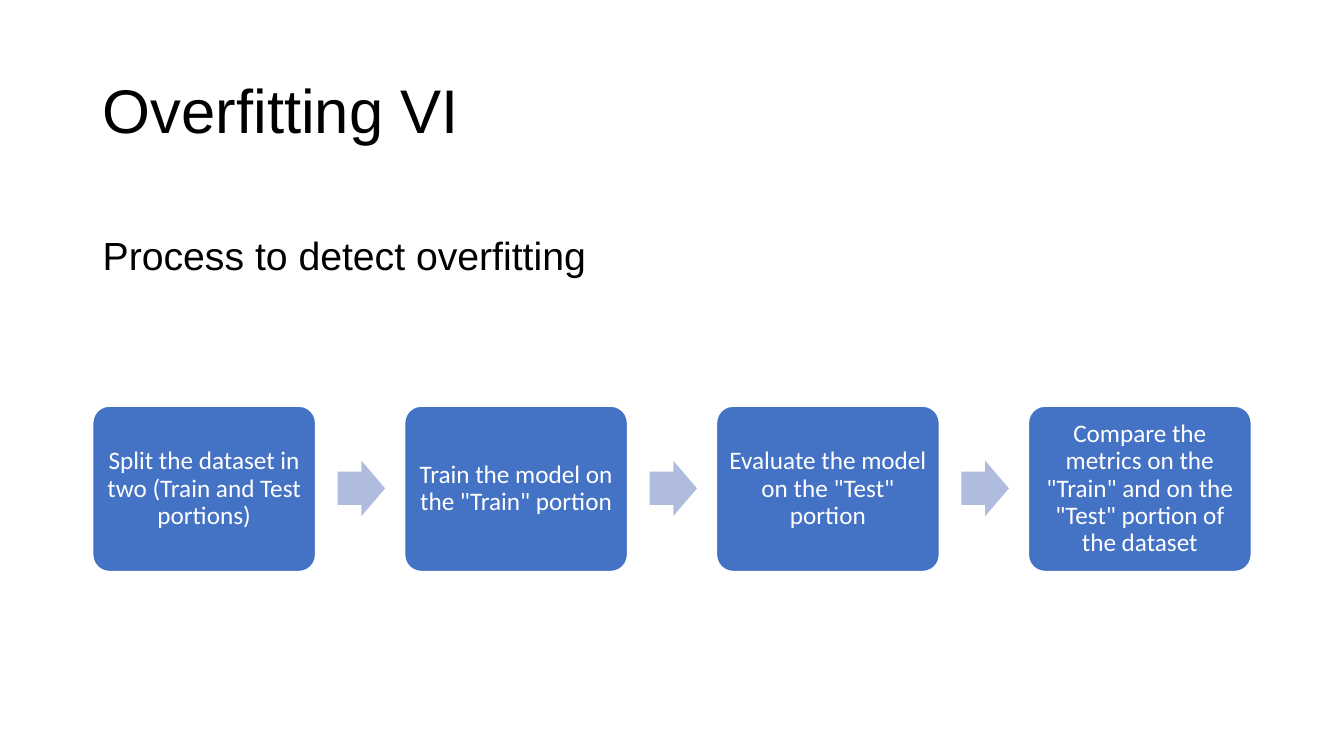
from pptx import Presentation
from pptx.dml.color import RGBColor
from pptx.enum.shapes import MSO_SHAPE as Shape
from pptx.enum.text import MSO_ANCHOR as Anchor, MSO_AUTO_SIZE as AutoSize, PP_ALIGN as Align
from pptx.util import Pt

EMU_PER_PX = 9144  # 100 px to the inch
TITLE_ONLY = 5


def px(*lengths):
    return [round(length * EMU_PER_PX) for length in lengths]


def add_run(paragraph, text, size, font, color):
    run = paragraph.add_run()
    run.text = text
    run.font.size = Pt(size)
    run.font.name = font
    run.font.color.rgb = RGBColor.from_string(color)


presentation = Presentation()
presentation.slide_width, presentation.slide_height = px(1333, 750)
slide = presentation.slides.add_slide(presentation.slide_layouts[TITLE_ONLY])

# Title
title = slide.shapes.title
title.left, title.top, title.width, title.height = px(92, 40, 1150, 145)
frame = title.text_frame
frame.auto_size = AutoSize.NONE
frame.vertical_anchor = Anchor.MIDDLE
paragraph = frame.paragraphs[0]
paragraph.alignment = Align.LEFT
paragraph.line_spacing = 0.9
add_run(paragraph, "Overfitting VI", 44, "Arial", "000000")

# Process steps, with an arrow after each one but the last
steps = [
    "Split the dataset in two (Train and Test portions)",
    "Train the model on the \"Train\" portion",
    "Evaluate the model on the \"Test\" portion",
    "Compare the metrics on the \"Train\" and on the \"Test\" portion of the dataset",
]
first_left, last_left = 92, 1020
pitch = (last_left - first_left) / (len(steps) - 1)
process = slide.shapes.add_group_shape()

for index, text in enumerate(steps):
    left = first_left + index * pitch
    box = process.shapes.add_shape(Shape.ROUNDED_RECTANGLE, *px(left, 403, 221, 164))
    box.shadow.inherit = False
    box.adjustments[0] = 0.1
    box.fill.solid()
    box.fill.fore_color.rgb = RGBColor.from_string("4472C4")
    box.line.color.rgb = RGBColor.from_string("FFFFFF")
    box.line.width = Pt(1)
    frame = box.text_frame
    frame.word_wrap = True
    frame.vertical_anchor = Anchor.MIDDLE
    frame.margin_left, frame.margin_top, frame.margin_right, frame.margin_bottom = px(7, 7, 7, 7)
    paragraph = frame.paragraphs[0]
    paragraph.alignment = Align.CENTER
    paragraph.line_spacing = 0.9
    add_run(paragraph, text, 18, "Calibri", "FFFFFF")

    if index < len(steps) - 1:
        arrow = process.shapes.add_shape(Shape.RIGHT_ARROW, *px(left + 243, 457, 47, 55))
        arrow.shadow.inherit = False
        arrow.adjustments[0] = 0.6
        arrow.adjustments[1] = 0.5
        arrow.fill.solid()
        arrow.fill.fore_color.rgb = RGBColor.from_string("B0BCDE")
        arrow.line.fill.background()

# Subtitle above the process
subtitle = slide.shapes.add_textbox(*px(92, 225, 505, 57))
frame = subtitle.text_frame
frame.word_wrap = False
frame.auto_size = AutoSize.SHAPE_TO_FIT_TEXT
add_run(frame.paragraphs[0], "Process to detect overfitting", 28, "Arial", "000000")

presentation.save("out.pptx")
